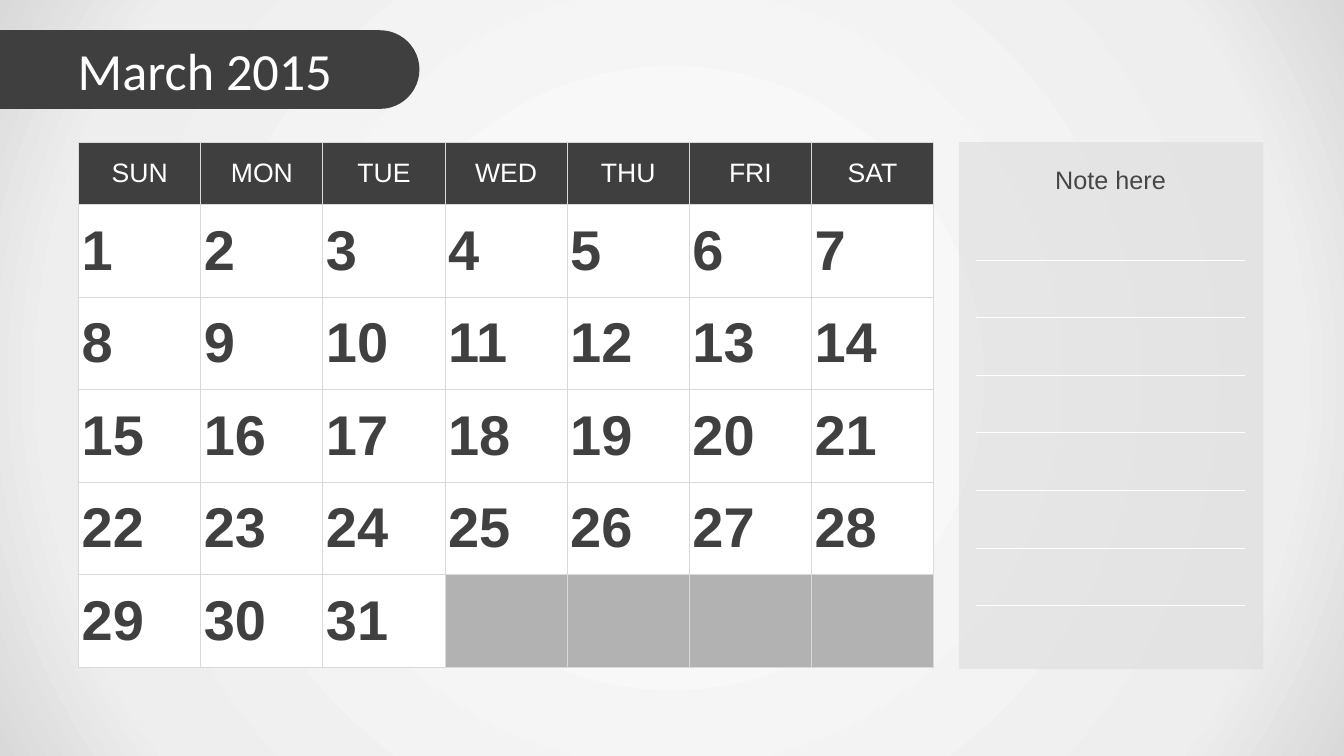
from dataclasses import dataclass
from typing import Any

from lxml.etree import SubElement
from pptx import Presentation
from pptx.dml.color import RGBColor
from pptx.enum.shapes import MSO_CONNECTOR as Connector
from pptx.enum.shapes import MSO_SHAPE as Shape
from pptx.enum.text import MSO_ANCHOR as Anchor
from pptx.enum.text import MSO_AUTO_SIZE as AutoSize
from pptx.enum.text import PP_ALIGN as Align
from pptx.oxml import parse_xml
from pptx.oxml.ns import nsdecls, qn
from pptx.util import Inches, Pt


@dataclass(frozen=True)
class Theme:
    dark: str = "3F3F3F"
    day: str = "404040"
    note: str = "464646"
    white: str = "FFFFFF"
    rule: str = "D9D9D9"
    unused: str = "B2B2B2"
    glow: tuple = ((0, "FFFFFF"), (81, "EEEEEE"), (100, "D9D9D9"))
    title_font: str = "Calibri"
    body_font: str = "Arial"
    title_size: float = 37.3
    weekday_size: float = 19
    day_size: float = 40
    note_size: float = 18
    hairline: float = 0.75


@dataclass(frozen=True)
class CellStyle:
    fill: str
    color: str
    size: float
    bold: bool
    align: Align
    margin_x: float
    margin_y: float


@dataclass(frozen=True)
class DayCell:
    row: int
    column: int
    label: str
    style: CellStyle


THEME = Theme()
WEEKDAYS = ("SUN", "MON", "TUE", "WED", "THU", "FRI", "SAT")
WEEKS = 5
LAST_DAY = 31
WEEKDAY = CellStyle(THEME.dark, THEME.white, THEME.weekday_size, False, Align.CENTER, 0.1, 0.05)
DAY = CellStyle(THEME.white, THEME.day, THEME.day_size, True, Align.LEFT, 0.03, 0.01)
UNUSED = CellStyle(THEME.unused, THEME.day, THEME.note_size, False, Align.LEFT, 0.1, 0.05)


def apply(target: Any, values: dict[str, Any]) -> None:
    for name, value in values.items():
        setattr(target, name, value)


def style_text(paragraph: Any, font: str, size: float, color: str, align: Align, bold: bool = False) -> None:
    paragraph.alignment = align
    apply(paragraph.font, {"name": font, "size": Pt(size), "bold": bold})
    paragraph.font.color.rgb = RGBColor.from_string(color)


def place(shape: Any, left: float, top: float, width: float, height: float) -> None:
    apply(shape, {"left": Inches(left), "top": Inches(top), "width": Inches(width), "height": Inches(height)})


def paint_background(slide: Any) -> None:
    slide.background.fill.solid()
    solid = next(slide.element.iter(qn("a:solidFill")))
    stops = "".join(
        f'<a:gs pos="{position * 1000}"><a:srgbClr val="{color}"/></a:gs>' for position, color in THEME.glow
    )
    glow = parse_xml(
        f'<a:gradFill {nsdecls("a")} rotWithShape="1"><a:gsLst>{stops}</a:gsLst>'
        '<a:path path="circle"><a:fillToRect l="50000" t="50000" r="50000" b="50000"/></a:path></a:gradFill>'
    )
    solid.getparent().replace(solid, glow)


def add_block(slide: Any, preset: Shape, box: tuple, color: str) -> Any:
    block = slide.shapes.add_shape(preset, *map(Inches, box))
    block.shadow.inherit = False
    block.fill.solid()
    block.fill.fore_color.rgb = RGBColor.from_string(color)
    block.line.fill.background()
    return block


def add_month_title(slide: Any, month: str) -> None:
    tab = add_block(slide, Shape.ROUND_2_SAME_RECTANGLE, (1.69, -1.39, 0.78, 4.16), THEME.dark)
    tab.rotation = 90
    tab.adjustments[0] = 0.5
    tab.adjustments[1] = 0
    title = slide.shapes.title
    title.element.addprevious(tab.element)
    place(title, 0.67, 0.3, 12, 0.78)
    frame = title.text_frame
    frame.text = month
    apply(frame, {"vertical_anchor": Anchor.MIDDLE, "auto_size": AutoSize.NONE, "word_wrap": True})
    style_text(frame.paragraphs[0], THEME.title_font, THEME.title_size, THEME.white, Align.LEFT)


def month_cells() -> list[DayCell]:
    cells = [DayCell(0, column, weekday, WEEKDAY) for column, weekday in enumerate(WEEKDAYS)]
    for index in range(WEEKS * len(WEEKDAYS)):
        week, column = divmod(index, len(WEEKDAYS))
        in_month = index < LAST_DAY
        label = str(index + 1) if in_month else ""
        cells.append(DayCell(week + 1, column, label, DAY if in_month else UNUSED))
    return cells


def border_cell(cell: Any) -> None:
    properties = cell._tc.get_or_add_tcPr()
    for position, side in enumerate(("lnL", "lnR", "lnT", "lnB")):
        border = parse_xml(
            f'<a:{side} {nsdecls("a")} w="{Pt(THEME.hairline)}"><a:solidFill>'
            f'<a:srgbClr val="{THEME.rule}"/></a:solidFill></a:{side}>'
        )
        properties.insert(position, border)


def fill_cell(table: Any, day: DayCell) -> None:
    cell = table.cell(day.row, day.column)
    style = day.style
    cell.text = day.label
    across, down = Inches(style.margin_x), Inches(style.margin_y)
    apply(cell, {
        "vertical_anchor": Anchor.MIDDLE,
        "margin_left": across,
        "margin_right": across,
        "margin_top": down,
        "margin_bottom": down,
    })
    cell.fill.solid()
    cell.fill.fore_color.rgb = RGBColor.from_string(style.fill)
    style_text(cell.text_frame.paragraphs[0], THEME.body_font, style.size, style.color, style.align, style.bold)
    border_cell(cell)


def add_calendar(slide: Any) -> None:
    left, top, width, height, header = 0.78, 1.41, 8.48, 5.21, 0.62
    box = map(Inches, (left, top, width, height))
    table = slide.shapes.add_table(WEEKS + 1, len(WEEKDAYS), *box).table
    apply(table, {"first_row": False, "horz_banding": False})
    for column in table.columns:
        column.width = Inches(width / len(WEEKDAYS))
    for index, row in enumerate(table.rows):
        row.height = Inches((height - header) / WEEKS if index else header)
    for day in month_cells():
        fill_cell(table, day)


def add_notes_panel(slide: Any, heading: str) -> None:
    panel = add_block(slide, Shape.RECTANGLE, (9.51, 1.41, 3.02, 5.23), THEME.rule)
    tint = next(panel.element.spPr.iter(qn("a:srgbClr")))
    SubElement(tint, qn("a:alpha"), val="50000")
    frame = slide.shapes.add_textbox(*map(Inches, (10.36, 1.58, 1.31, 0.4))).text_frame
    frame.text = heading
    apply(frame, {"word_wrap": False, "auto_size": AutoSize.SHAPE_TO_FIT_TEXT})
    style_text(frame.paragraphs[0], THEME.body_font, THEME.note_size, THEME.note, Align.CENTER)
    writing_lines = slide.shapes.add_group_shape()
    first, last, count = 2.58, 6.01, 7
    for index in range(count):
        y = first + index * (last - first) / (count - 1)
        ends = map(Inches, (9.68, y, 12.35, y))
        writing_line = writing_lines.shapes.add_connector(Connector.STRAIGHT, *ends)
        writing_line.line.color.rgb = RGBColor.from_string(THEME.white)
        writing_line.line.width = Pt(THEME.hairline)
        SubElement(writing_line.element.spPr, qn("a:effectLst"))


def main() -> None:
    deck = Presentation()
    apply(deck, {"slide_width": Inches(13.33), "slide_height": Inches(7.5)})
    slide = deck.slides.add_slide(deck.slide_layouts[5])
    paint_background(slide)
    add_month_title(slide, "March 2015")
    add_calendar(slide)
    add_notes_panel(slide, "Note here")
    deck.save("out.pptx")


if __name__ == "__main__":
    main()
